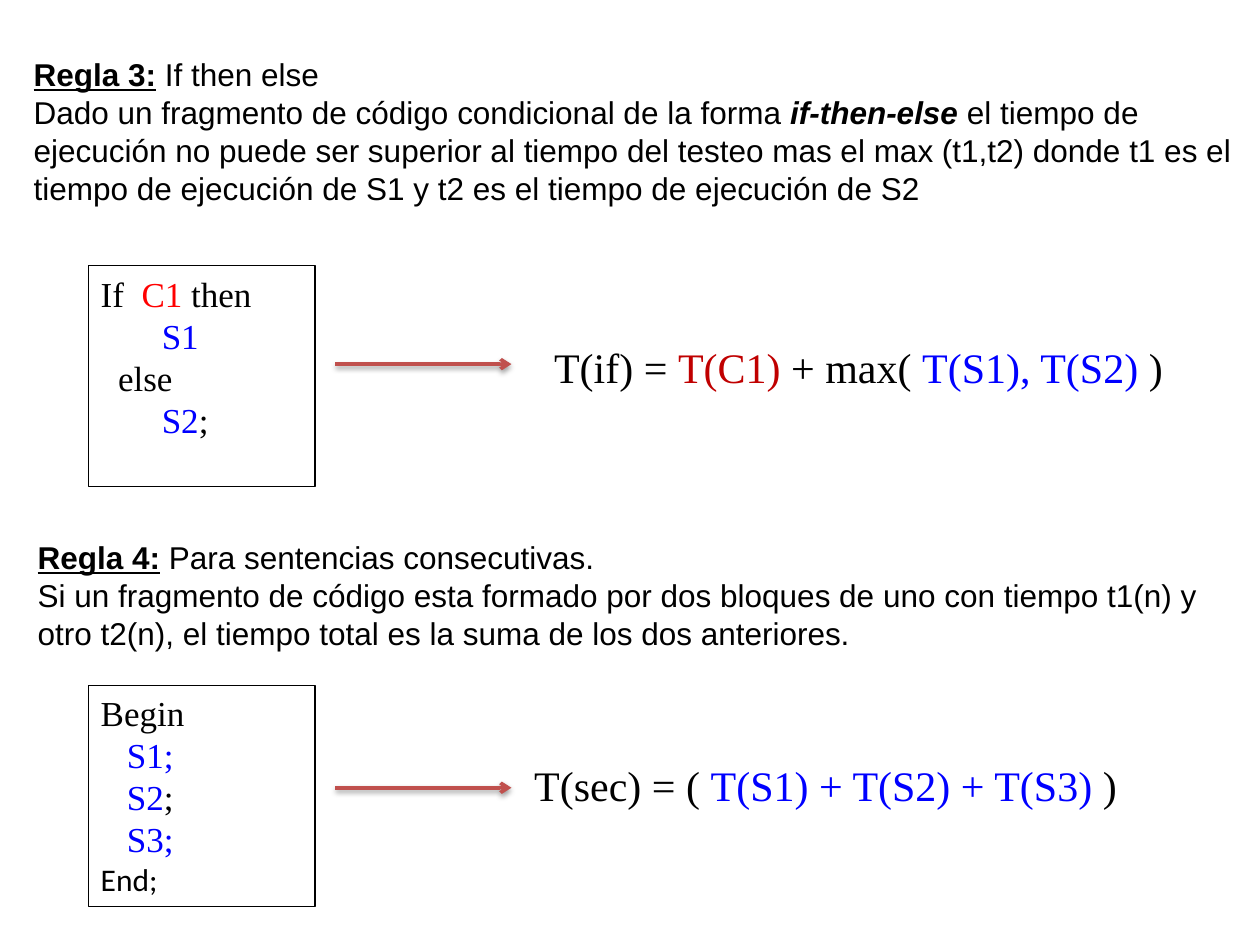
from lxml import etree
from pptx import Presentation
from pptx import util as u
from pptx.dml.color import RGBColor
from pptx.enum import shapes, text
from pptx.oxml import ns

THEME = {
    "black": "000000", "red": "FF0000", "dark_red": "C00000", "blue": "0000FF", "arrow": "C0504D",
    "prose": ("Arial", 18), "code": ("Times New Roman", 20),
    "formula": ("Times New Roman", 24), "end": ("Calibri", 18),
}

RULES = [
    {
        "statement": [
            [("Regla 3:", "bu"), (" If then else", "")],
            [("Dado un fragmento de código condicional de la forma ", ""), ("if-then-else ", "bi"),
             ("el tiempo de ejecución no puede ser superior al tiempo del testeo mas el max (t1,t2) "
              "donde t1 es el tiempo de ejecución de S1 y t2 es el tiempo de ejecución de S2", "")],
        ],
        "statement_at": (0.43, 0.99, 24.97, 3.33),
        "code": [
            (0, [("If  ", "black"), ("C1", "red"), (" then", "black")]),
            (7, [("S1", "blue")]),
            (2, [("else", "black")]),
            (7, [("S2", "blue"), (";", "black")]),
        ],
        "code_top": 5.36,
        "arrow_y": 7.34,
        "formula": [("T(if) = ", "black"), ("T(C1) ", "dark_red"), ("+ max( ", "black"),
                    ("T(S1), T(S2) ", "blue"), (")", "black")],
        "formula_at": (10.92, 6.76),
    },
    {
        "statement": [
            [("Regla 4:", "bu"), (" Para sentencias consecutivas.", "")],
            [("Si un fragmento de código esta formado por dos bloques de uno con tiempo t1(n) y "
              "otro t2(n), el tiempo total es la suma de los dos anteriores.", "")],
        ],
        "statement_at": (0.51, 10.72, 24.41, 2.57),
        "code": [
            (0, [("Begin", "black")]),
            (3, [("S1;", "blue")]),
            (3, [("S2", "blue"), (";", "black")]),
            (3, [("S3;", "blue")]),
            (0, [("End;", "black", "end")]),
        ],
        "code_top": 13.82,
        "arrow_y": 15.88,
        "formula": [("T(sec) = ( ", "black"), ("T(S1) + T(S2) + T(S3) ", "blue"), (")", "black")],
        "formula_at": (10.52, 15.19),
    },
]

CODE_LEFT, CODE_WIDTH, CODE_HEIGHT = 1.78, 4.57, 4.45
ARROW_START, ARROW_END = 6.76, 10.31
FORMULA_SIZE = (13.49, 1.3)
INDENT_STEP = 0.176


def cm(*lengths):
    return [u.Cm(length) for length in lengths]


def rgb(name):
    return RGBColor.from_string(THEME[name])


def write(paragraph, words, style="prose", color="black", marks=""):
    run = paragraph.add_run()
    run.text = words
    font = run.font
    font.name, size = THEME[style]
    font.size = u.Pt(size)
    font.color.rgb = rgb(color)
    font.bold, font.italic, font.underline = ("b" in marks, "i" in marks, "u" in marks)


def lines_of(frame, lines):
    frame.word_wrap = True
    frame.vertical_anchor = text.MSO_ANCHOR.TOP
    for i, line in enumerate(lines):
        paragraph = frame.paragraphs[0] if i == 0 else frame.add_paragraph()
        paragraph.alignment = text.PP_ALIGN.LEFT
        yield paragraph, line


def add_statement(slide, rule):
    statement = slide.shapes.add_textbox(*cm(*rule["statement_at"]))
    for paragraph, line in lines_of(statement.text_frame, rule["statement"]):
        for words, marks in line:
            write(paragraph, words, marks=marks)


def add_code(slide, rule):
    code = slide.shapes.add_shape(shapes.MSO_SHAPE.RECTANGLE,
                                  *cm(CODE_LEFT, rule["code_top"], CODE_WIDTH, CODE_HEIGHT))
    code.shadow.inherit = False
    code.fill.background()
    code.line.color.rgb = rgb("black")
    code.line.width = u.Pt(0.75)
    for paragraph, (indent, line) in lines_of(code.text_frame, rule["code"]):
        paragraph._p.get_or_add_pPr().set("marL", str(u.Cm(indent * INDENT_STEP)))
        for words, color, *style in line:
            write(paragraph, words, style=style[0] if style else "code", color=color)


def add_arrow(slide, rule):
    y = rule["arrow_y"]
    arrow = slide.shapes.add_connector(shapes.MSO_CONNECTOR.STRAIGHT,
                                       *cm(ARROW_START, y, ARROW_END, y))
    arrow.line.color.rgb = rgb("arrow")
    arrow.line.width = u.Pt(2)
    etree.SubElement(arrow.line._get_or_add_ln(), ns.qn("a:tailEnd"), type="arrow")
    effects = etree.SubElement(arrow._element.spPr, ns.qn("a:effectLst"))
    shadow = etree.SubElement(effects, ns.qn("a:outerShdw"), blurRad=str(u.Pt(3.1)),
                              dist=str(u.Pt(1.6)), dir="5400000", rotWithShape="0")
    shade = etree.SubElement(shadow, ns.qn("a:srgbClr"), val=THEME["black"])
    etree.SubElement(shade, ns.qn("a:alpha"), val="38000")


def add_formula(slide, rule):
    formula = slide.shapes.add_textbox(*cm(*rule["formula_at"], *FORMULA_SIZE))
    for paragraph, line in lines_of(formula.text_frame, [rule["formula"]]):
        for words, color in line:
            write(paragraph, words, style="formula", color=color)


def main():
    deck = Presentation()
    deck.slide_width, deck.slide_height = cm(25.4, 19.05)
    slide = deck.slides.add_slide(deck.slide_layouts[6])
    for rule in RULES:
        add_statement(slide, rule)
    for rule in RULES:
        add_code(slide, rule)
        add_arrow(slide, rule)
        add_formula(slide, rule)
    deck.save("out.pptx")


if __name__ == "__main__":
    main()
